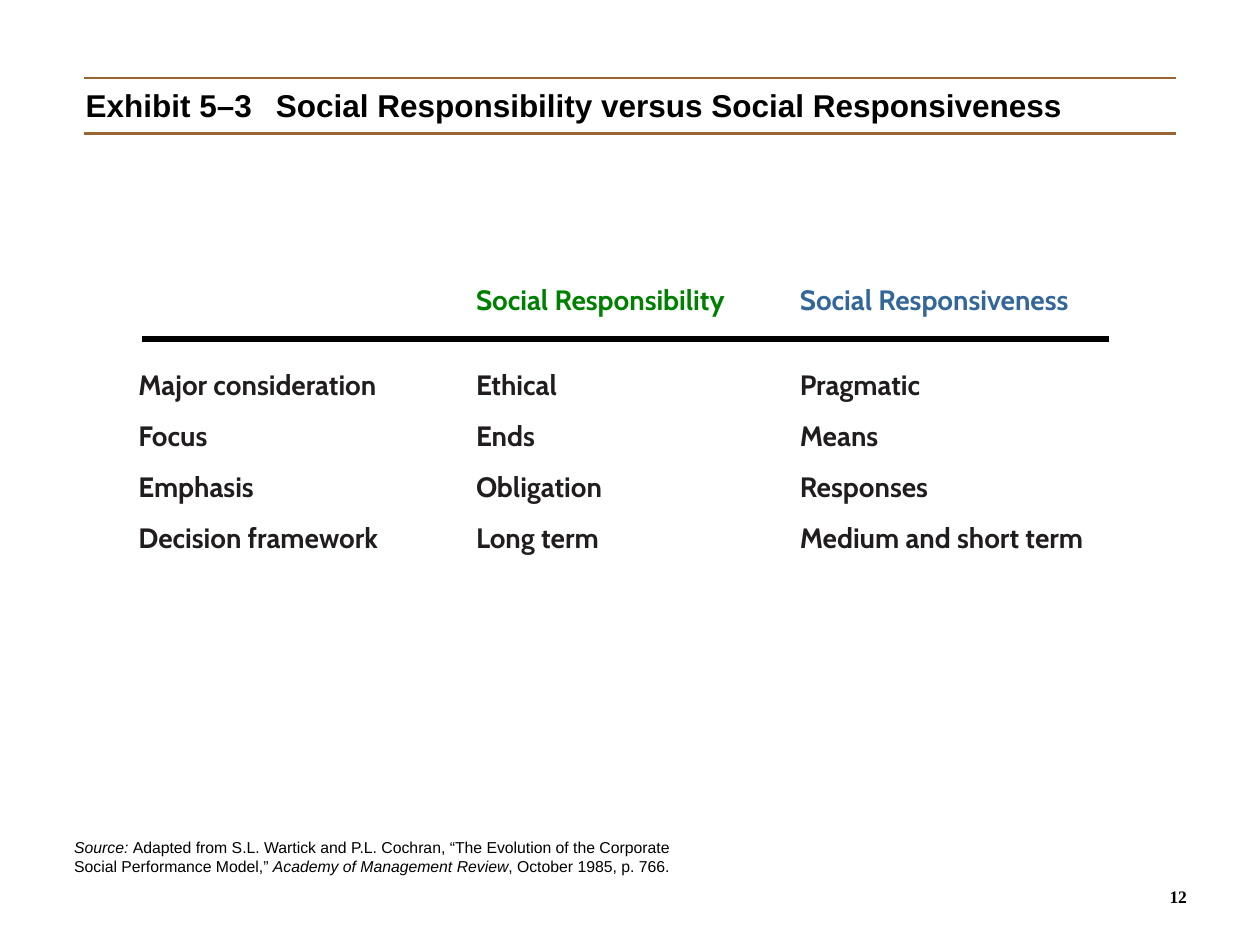
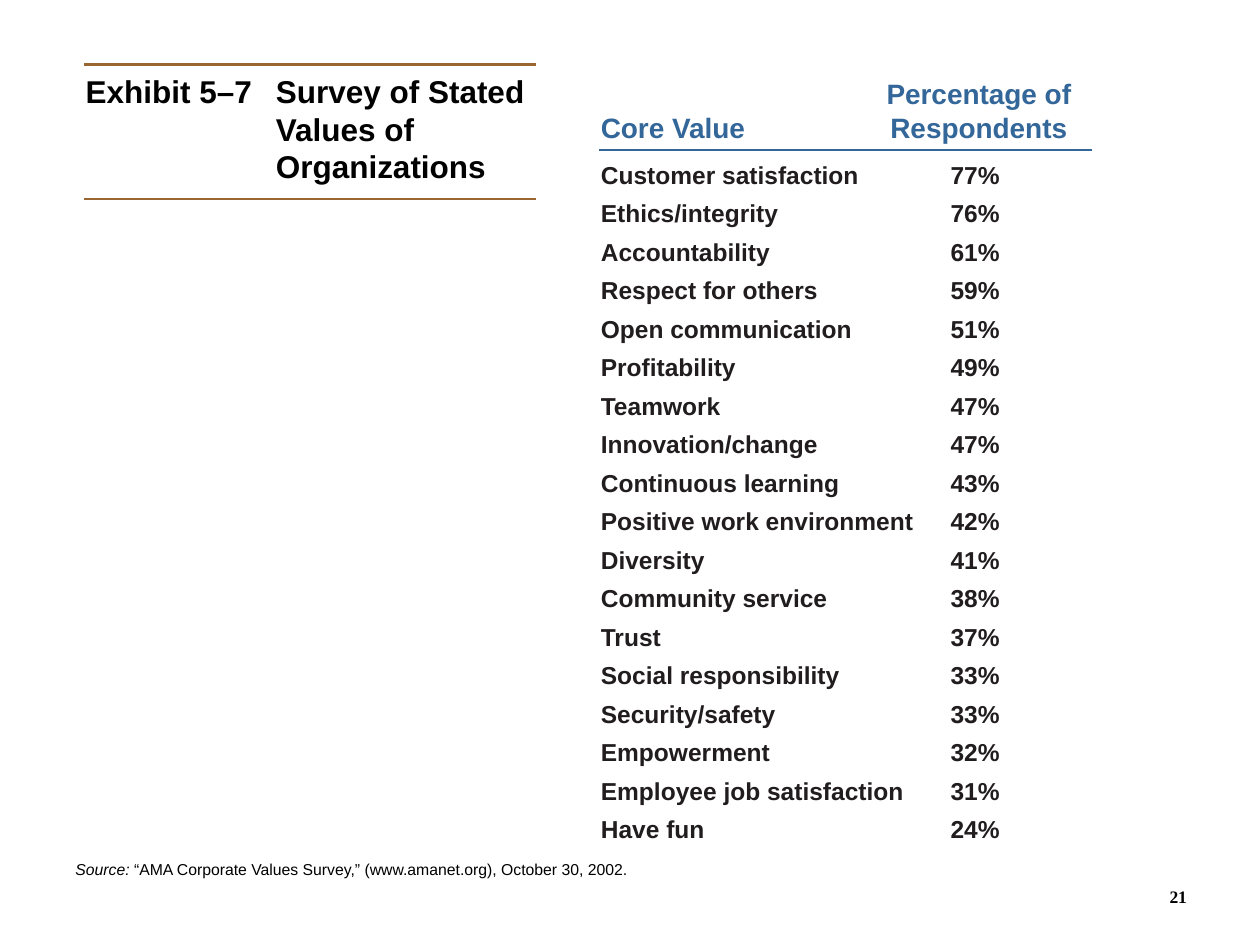
from typing import NamedTuple

from lxml import etree
from pptx import Presentation
from pptx.dml.color import RGBColor
from pptx.enum.shapes import MSO_CONNECTOR
from pptx.enum.text import MSO_ANCHOR, MSO_AUTO_SIZE, PP_ALIGN
from pptx.oxml.ns import qn
from pptx.util import Inches, Pt

LINE = MSO_CONNECTOR.STRAIGHT
TOP, BOTTOM = MSO_ANCHOR.TOP, MSO_ANCHOR.BOTTOM
LEFT, RIGHT = PP_ALIGN.LEFT, PP_ALIGN.RIGHT
NO_FIT = MSO_AUTO_SIZE.NONE

COLORS = {
    "black": "000000",
    "ink": "211D1E",
    "brown": "996633",
    "green": "008000",
    "blue": "336699",
}

FONTS = {
    "title": {"name": "Arial", "size": Pt(18), "bold": True},
    "compare": {"name": "Cabin", "size": Pt(16), "bold": True},
    "head": {"name": "Arial", "size": Pt(16), "bold": True},
    "value": {"name": "Arial", "size": Pt(14), "bold": True},
    "source": {"name": "Arial", "size": Pt(9), "italic": False},
    "cite": {"name": "Arial", "size": Pt(9), "italic": True},
    "page": {"name": "Times New Roman", "size": Pt(10), "bold": True},
}


class Box(NamedTuple):
    left: float
    top: float
    width: float
    height: float


class Run(NamedTuple):
    text: str
    font: str
    color: str = "black"


class Tab(NamedTuple):
    pos: float
    align: str = "l"


class Rule(NamedTuple):
    left: float
    right: float
    y: float
    color: str = "brown"
    weight: float = 1.5


HANG = 1.51
ASPECTS = [
    ("Major consideration", "Ethical", "Pragmatic"),
    ("Focus", "Ends", "Means"),
    ("Emphasis", "Obligation", "Responses"),
    ("Decision framework", "Long term", "Medium and short term"),
]
SURVEY = [
    ("Customer satisfaction", 77),
    ("Ethics/integrity", 76),
    ("Accountability", 61),
    ("Respect for others", 59),
    ("Open communication", 51),
    ("Profitability", 49),
    ("Teamwork", 47),
    ("Innovation/change", 47),
    ("Continuous learning", 43),
    ("Positive work environment", 42),
    ("Diversity", 41),
    ("Community service", 38),
    ("Trust", 37),
    ("Social responsibility", 33),
    ("Security/safety", 33),
    ("Empowerment", 32),
    ("Employee job satisfaction", 31),
    ("Have fun", 24),
]


def place(shape, box: Box) -> None:
    for name, value in box._asdict().items():
        setattr(shape, name, Inches(value))


def set_frame(shape, side: float = 0.1, anchor=TOP):
    frame = shape.text_frame
    margin, edge = Inches(side), Inches(0.05)
    form = {
        "word_wrap": True, "auto_size": NO_FIT, "vertical_anchor": anchor,
        "margin_left": margin, "margin_right": margin,
        "margin_top": edge, "margin_bottom": edge,
    }
    for name, value in form.items():
        setattr(frame, name, value)
    return frame


def add_box(slide, box: Box, side: float = 0.1, anchor=TOP):
    shape = slide.shapes.add_textbox(*(Inches(v) for v in box))
    return set_frame(shape, side, anchor)


def write(para, runs: list[Run], tabs: tuple[Tab, ...] = (), **form) -> None:
    """Fill a paragraph; form holds its alignment and spacing."""
    for name, value in form.items():
        setattr(para, name, value)
    if tabs:
        stops = etree.SubElement(para._p.get_or_add_pPr(), qn("a:tabLst"))
        for tab in tabs:
            etree.SubElement(stops, qn("a:tab"), pos=str(Inches(tab.pos)), algn=tab.align)
    for item in runs:
        if item.text == "\n":
            para.add_line_break()
            continue
        run = para.add_run()
        run.text = item.text
        for name, value in FONTS[item.font].items():
            setattr(run.font, name, value)
        run.font.color.rgb = RGBColor.from_string(COLORS[item.color])


def add_rule(slide, rule: Rule) -> None:
    y = Inches(rule.y)
    line = slide.shapes.add_connector(LINE, Inches(rule.left), y, Inches(rule.right), y)
    line.line.color.rgb = RGBColor.from_string(COLORS[rule.color])
    line.line.width = Pt(rule.weight)
    etree.SubElement(line._element.spPr, qn("a:effectLst"))


def add_slide(deck, label: str, name: str, box: Box, rules: list[Rule], page: int):
    """Add a slide with its ruled title and page number."""
    slide = deck.slides.add_slide(deck.slide_layouts.get_by_name("Title Only"))
    title = slide.shapes.title
    place(title, box)
    para = set_frame(title).paragraphs[0]
    props = para._p.get_or_add_pPr()
    props.set("marL", str(Inches(HANG)))
    props.set("indent", str(-Inches(HANG)))
    write(para, [Run(f"{label}\t{name}", "title")], alignment=LEFT)
    for rule in rules:
        add_rule(slide, rule)
    foot = add_box(slide, Box(7, 6.75, 2.42, 0.5), 0, BOTTOM)
    write(foot.paragraphs[0], [Run(str(page), "page")], alignment=RIGHT)
    return slide


def add_source(slide, box: Box, runs: list[Run]) -> None:
    frame = add_box(slide, box)
    write(frame.paragraphs[0], [Run("Source: ", "cite"), *runs])


def add_compare(deck) -> None:
    slide = add_slide(
        deck, "Exhibit 5–3", "Social Responsibility versus Social Responsiveness",
        Box(0.58, 0.63, 8.83, 0.4), [Rule(0.67, 9.33, y) for y in (0.62, 1.06)], 12)
    frame = add_box(slide, Box(1, 2.19, 8, 2.52))
    tabs = (Tab(2.68), Tab(5.25))
    head = [
        Run("\tSocial Responsibility", "compare", "green"),
        Run("\tSocial Responsiveness", "compare", "blue"),
    ]
    gap = Pt(10)
    write(frame.paragraphs[0], head, tabs, space_before=gap, space_after=Pt(19.4))
    for row in ASPECTS:
        runs = [Run("\t".join(row), "compare", "ink")]
        write(frame.add_paragraph(), runs, tabs, space_before=gap)
    add_rule(slide, Rule(1.13, 8.8, 2.69, "black", 3))
    add_source(slide, Box(0.49, 6.6, 5.25, 0.4), [
        Run("Adapted from S.L. Wartick and P.L. Cochran, “The Evolution of the "
            "Corporate Social Performance Model,” ", "source"),
        Run("Academy of Management Review", "cite"),
        Run(", October 1985, p. 766.", "source"),
    ])


def add_survey(deck) -> None:
    slide = add_slide(
        deck, "Exhibit 5–7", "Survey of Stated Values of Organizations",
        Box(0.58, 0.52, 3.75, 1), [Rule(0.67, 4.25, y) for y in (0.51, 1.58)], 21)
    frame = add_box(slide, Box(4.67, 0.56, 4.25, 6.2))
    head = [Run(text, "head", "blue")
            for text in ("\tPercentage of", "\n", "Core Value\tRespondents")]
    write(frame.paragraphs[0], head, (Tab(3, "ctr"),),
          space_before=Pt(6), space_after=Pt(4))
    for name, share in SURVEY:
        runs = [Run(f"{name}\t{share}%", "value", "ink")]
        write(frame.add_paragraph(), runs, (Tab(2.97, "ctr"),), space_before=Pt(5.2))
    add_rule(slide, Rule(4.75, 8.67, 1.19, "blue"))
    add_source(slide, Box(0.5, 6.77, 5.25, 0.25), [
        Run("“AMA Corporate Values Survey,” (www.amanet.org), October 30, 2002.", "source"),
    ])


def main() -> None:
    deck = Presentation()
    deck.slide_width, deck.slide_height = Inches(10), Inches(7.5)
    add_compare(deck)
    add_survey(deck)
    deck.save("out.pptx")


if __name__ == "__main__":
    main()
